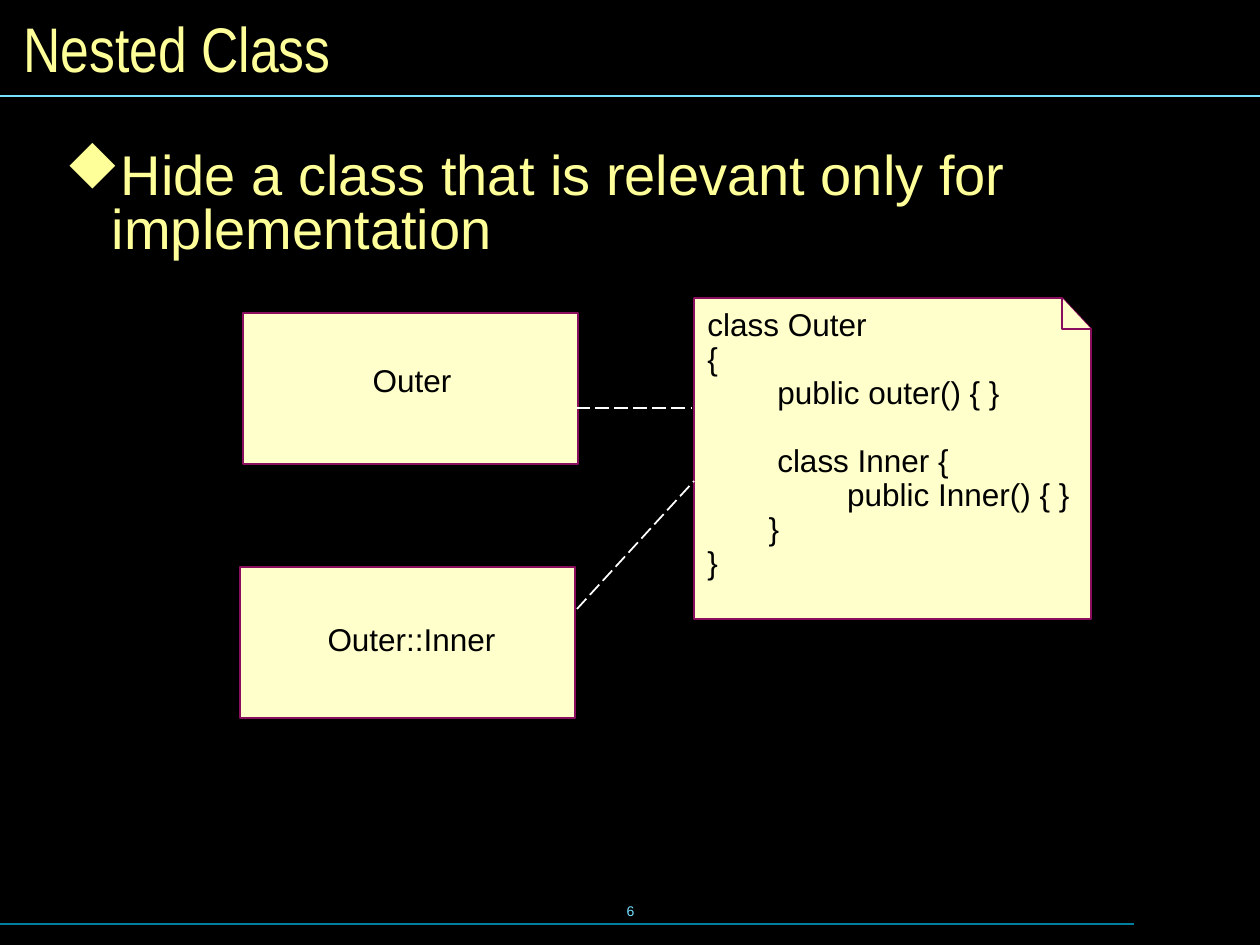
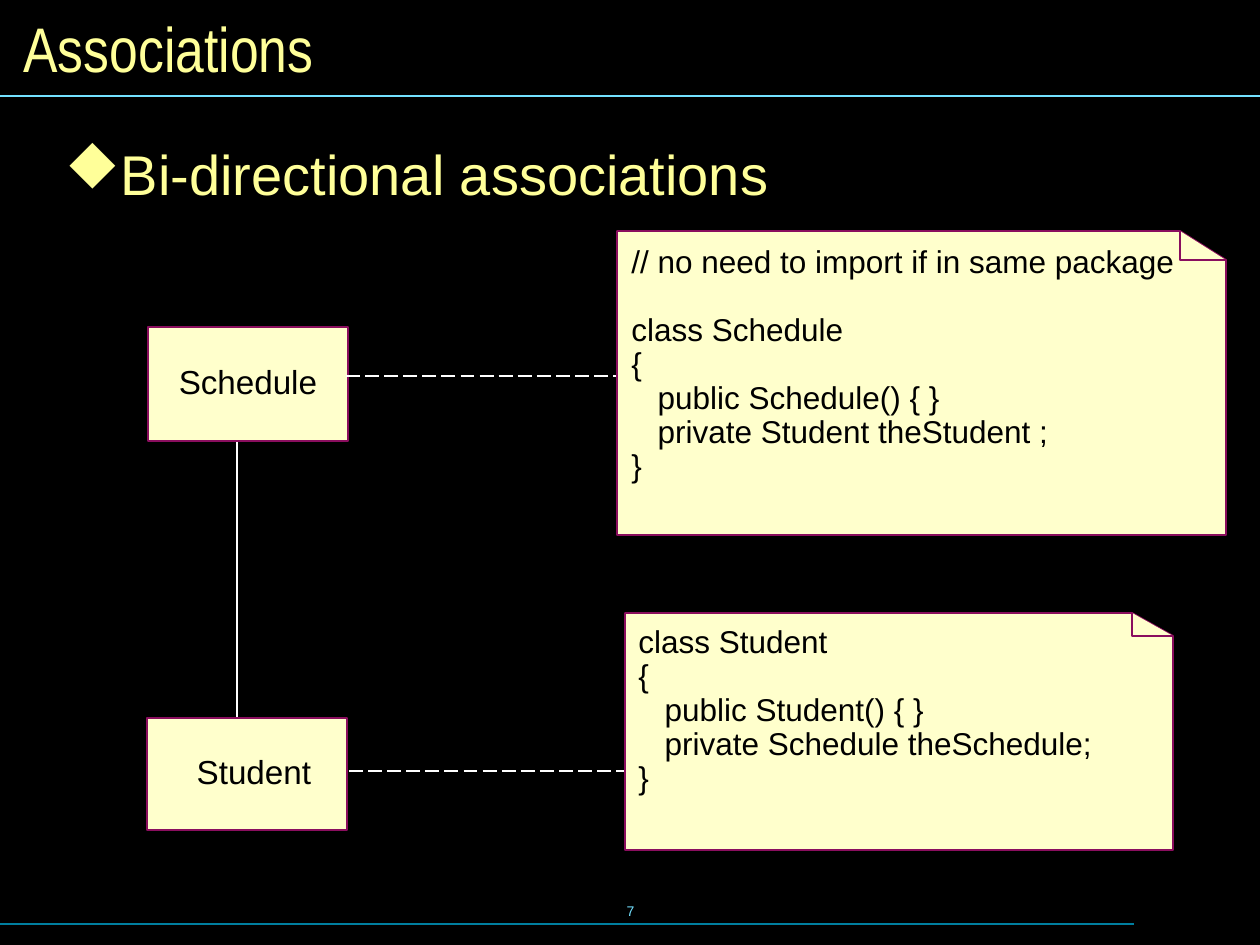
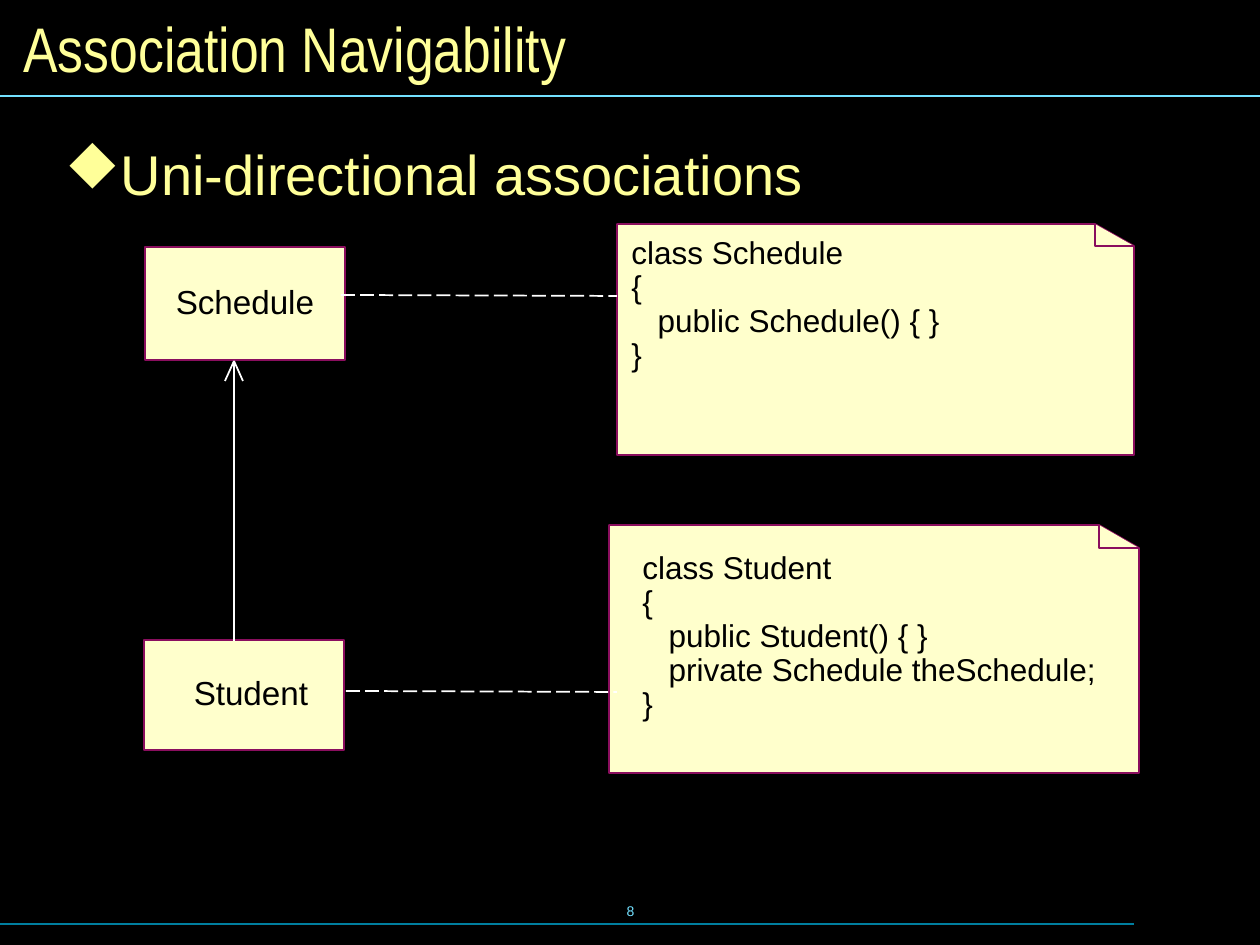
from lxml.etree import SubElement
from pptx import Presentation
from pptx.dml.color import RGBColor
from pptx.enum.dml import MSO_LINE
from pptx.enum.shapes import MSO_CONNECTOR, MSO_SHAPE
from pptx.enum.text import MSO_ANCHOR, PP_ALIGN
from pptx.oxml.ns import qn
from pptx.util import Pt

SCALE = 914400 / 126
WIDE, HIGH = 1260, 945

BLACK = RGBColor(0x00, 0x00, 0x00)
WHITE = RGBColor(0xFF, 0xFF, 0xFF)
CREAM = RGBColor(0xFF, 0xFF, 0xCC)
YELLOW = RGBColor(0xFF, 0xFF, 0x99)
PLUM = RGBColor(0x8A, 0x0E, 0x5E)
SKY = RGBColor(0x73, 0xE1, 0xFF)
TEAL = RGBColor(0x00, 0x7E, 0x9F)

TITLE = {"font": {"name": "Arial Narrow", "size": Pt(36)}, "color": YELLOW,
         "frame": {"word_wrap": True, "vertical_anchor": MSO_ANCHOR.MIDDLE}}
POINT = {"font": {"name": "Arial", "size": Pt(32)}, "color": YELLOW,
         "frame": {"word_wrap": True}, "para": {"line_spacing": 0.8}}
CODE = {"font": {"name": "Arial", "size": Pt(18)}, "color": BLACK,
        "frame": {"word_wrap": True}, "para": {"line_spacing": 0.9}}
LABEL = {"font": {"name": "Arial", "size": Pt(18)}, "color": BLACK,
         "frame": {"word_wrap": False},
         "para": {"line_spacing": 0.9, "alignment": PP_ALIGN.CENTER}}
NAME = {**LABEL, "font": {"name": "Arial", "size": Pt(19)}}
PAGE = {"font": {"name": "Arial", "size": Pt(8)}, "color": SKY,
        "frame": {"word_wrap": False, "vertical_anchor": MSO_ANCHOR.MIDDLE},
        "para": {"alignment": PP_ALIGN.CENTER}}
CODE_LINE = Pt(19.4)

STUDENT = ["class Student", "{", "   public Student() { }",
           "   private Schedule theSchedule;", "}"]


def px(*sizes):
    """Turn pixel lengths into EMU."""
    return [round(size * SCALE) for size in sizes]


def apply(target, values):
    """Set each named value on the target."""
    for key, value in values.items():
        setattr(target, key, value)


def paint(shape):
    """Give a shape the cream fill and plum outline."""
    shape.shadow.inherit = False
    shape.fill.solid()
    shape.fill.fore_color.rgb = CREAM
    shape.line.color.rgb = PLUM
    shape.line.width = Pt(1)


def add_text(slide, place, lines, style):
    """Add a text box, one paragraph a line, an empty line becoming a gap."""
    frame = slide.shapes.add_textbox(*px(*place)).text_frame
    apply(frame, style["frame"])
    para, gap = frame.paragraphs[0], None
    for row, line in enumerate(lines):
        if not line:
            gap = CODE_LINE
            continue
        if row:
            para = frame.add_paragraph()
        apply(para, style.get("para", {}))
        if gap:
            para.space_before, gap = gap, None
        run = para.add_run()
        run.text = line
        apply(run.font, style["font"])
        run.font.color.rgb = style["color"]
    return frame


def add_point(slide, text):
    """Add the main point with its diamond bullet."""
    frame = add_text(slide, (50, 145, 1171, 696), [text], POINT)
    side, edge = px(15, 8)
    apply(frame, {"margin_left": side, "margin_right": side,
                  "margin_top": edge, "margin_bottom": edge})
    props = frame.paragraphs[0]._p.get_or_add_pPr()
    indent = px(47)[0]
    props.set("marL", str(indent))
    props.set("indent", str(-indent))
    tint = SubElement(props, qn("a:buClr"))
    SubElement(tint, qn("a:srgbClr"), val=str(YELLOW))
    SubElement(props, qn("a:buFont"), typeface="Wingdings", charset="2")
    SubElement(props, qn("a:buChar"), char="u")


def add_line(slide, start, end, color=WHITE, width=1, dash=None):
    """Add a straight line between two points."""
    line = slide.shapes.add_connector(MSO_CONNECTOR.STRAIGHT, *px(*start, *end))
    SubElement(line._element.spPr, qn("a:effectLst"))
    line.line.color.rgb = color
    line.line.width = Pt(width)
    if dash:
        line.line.dash_style = dash


def add_link(slide, start, end):
    """Add a dashed line from a class to its note."""
    add_line(slide, start, end, dash=MSO_LINE.LONG_DASH)


def add_class(slide, place, text, spot, style=NAME):
    """Add a class box and its name."""
    paint(slide.shapes.add_shape(MSO_SHAPE.RECTANGLE, *px(*place)))
    add_text(slide, spot, [text], style)


def add_path(slide, points, close):
    """Add an outline through the points."""
    path = slide.shapes.build_freeform(*points[0], scale=SCALE)
    path.add_line_segments(points[1:], close=close)
    paint(path.convert_to_shape())


def add_note(slide, area, fold, spot, lines):
    """Add a note with a folded corner and code in it."""
    left, top, right, low = area
    crease, drop = right - fold[0], top + fold[1]
    add_path(slide, [(right, low), (left, low), (left, top),
                     (crease, top), (right, drop)], True)
    add_path(slide, [(right, drop), (crease, drop), (crease, top)], False)
    add_text(slide, (*spot, right - spot[0], low - spot[1]), lines, CODE)


def add_slide(deck, page, title, point):
    """Add a slide with its title, main point, rules and number."""
    slide = deck.slides.add_slide(deck.slide_layouts[6])
    slide.background.fill.solid()
    slide.background.fill.fore_color.rgb = BLACK
    add_text(slide, (431, 879, 399, 63), [str(page)], PAGE)
    add_line(slide, (0, 924), (1134, 924), TEAL, 0.75)
    add_line(slide, (0, 96), (WIDE, 96), SKY, 0.75)
    add_text(slide, (11, 11, 1240, 73), [title], TITLE)
    add_point(slide, point)
    return slide


def draw_nested(deck):
    """Draw the nested class slide."""
    slide = add_slide(deck, 6, "Nested Class",
                      "Hide a class that is relevant only for implementation")
    add_class(slide, (243, 313, 335, 151), "Outer", (347, 359, 130, 45), LABEL)
    add_class(slide, (240, 567, 335, 151), "Outer::Inner",
              (315, 618, 193, 45), LABEL)
    add_note(slide, (694, 298, 1091, 619), (29, 31), (695, 303),
             ["class Outer", "{", "        public outer() { }", "",
              "        class Inner {", "                public Inner() { }",
              "       }", "}"])
    add_link(slide, (576, 408), (692, 408))
    add_link(slide, (577, 609), (694, 481))


def draw_both(deck):
    """Draw the two-way association slide."""
    slide = add_slide(deck, 7, "Associations", "Bi-directional associations")
    add_class(slide, (148, 327, 200, 114), "Schedule", (166, 360, 164, 49))
    add_class(slide, (147, 718, 200, 112), "Student", (184, 750, 140, 49))
    add_line(slide, (237, 442), (237, 717))
    add_link(slide, (346, 376), (620, 376))
    add_link(slide, (349, 771), (626, 771))
    add_note(slide, (625, 613, 1173, 850), (41, 23), (626, 620), STUDENT)
    add_note(slide, (617, 231, 1226, 535), (46, 29), (619, 240),
             ["// no need to import if in same package", "", "class Schedule",
              "{", "   public Schedule() { }",
              "   private Student theStudent ;", "}"])


def draw_single(deck):
    """Draw the one-way association slide."""
    slide = add_slide(deck, 8, "Association Navigability",
                      "Uni-directional associations")
    add_class(slide, (145, 247, 200, 113), "Schedule", (163, 280, 164, 49))
    add_class(slide, (144, 640, 200, 110), "Student", (181, 671, 140, 49))
    add_note(slide, (617, 224, 1134, 455), (39, 22), (619, 231),
             ["class Schedule", "{", "   public Schedule() { }", "}"])
    add_note(slide, (609, 525, 1139, 773), (40, 23), (630, 546), STUDENT)
    add_link(slide, (341, 295), (617, 296))
    add_link(slide, (346, 691), (617, 692))
    tip = (234, 361)
    for start in ((234, 641), (225, 381), (243, 381)):
        add_line(slide, start, tip)


def main():
    """Build and save the deck."""
    deck = Presentation()
    deck.slide_width, deck.slide_height = px(WIDE, HIGH)
    for draw in (draw_nested, draw_both, draw_single):
        draw(deck)
    deck.save("out.pptx")


if __name__ == "__main__":
    main()
